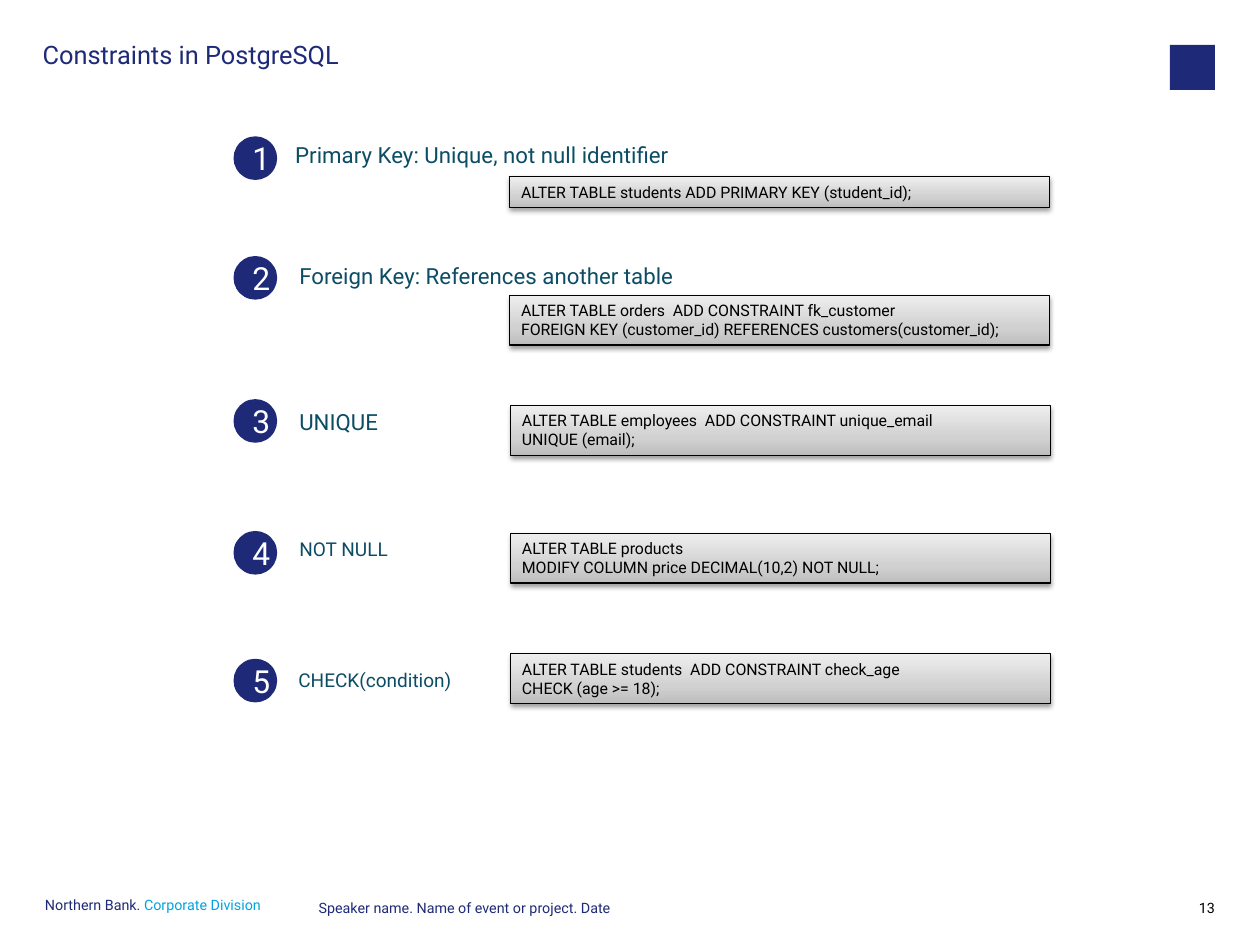
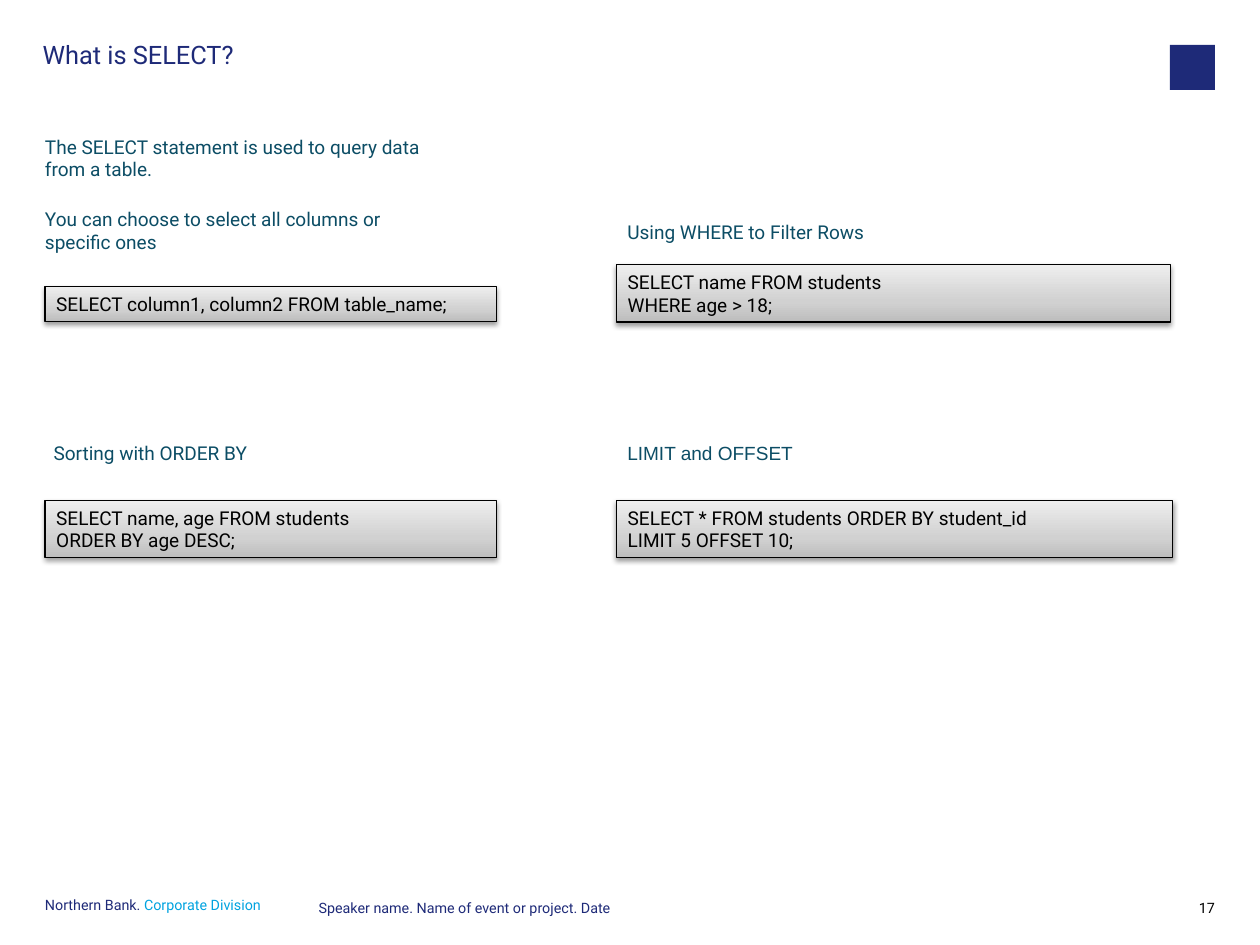
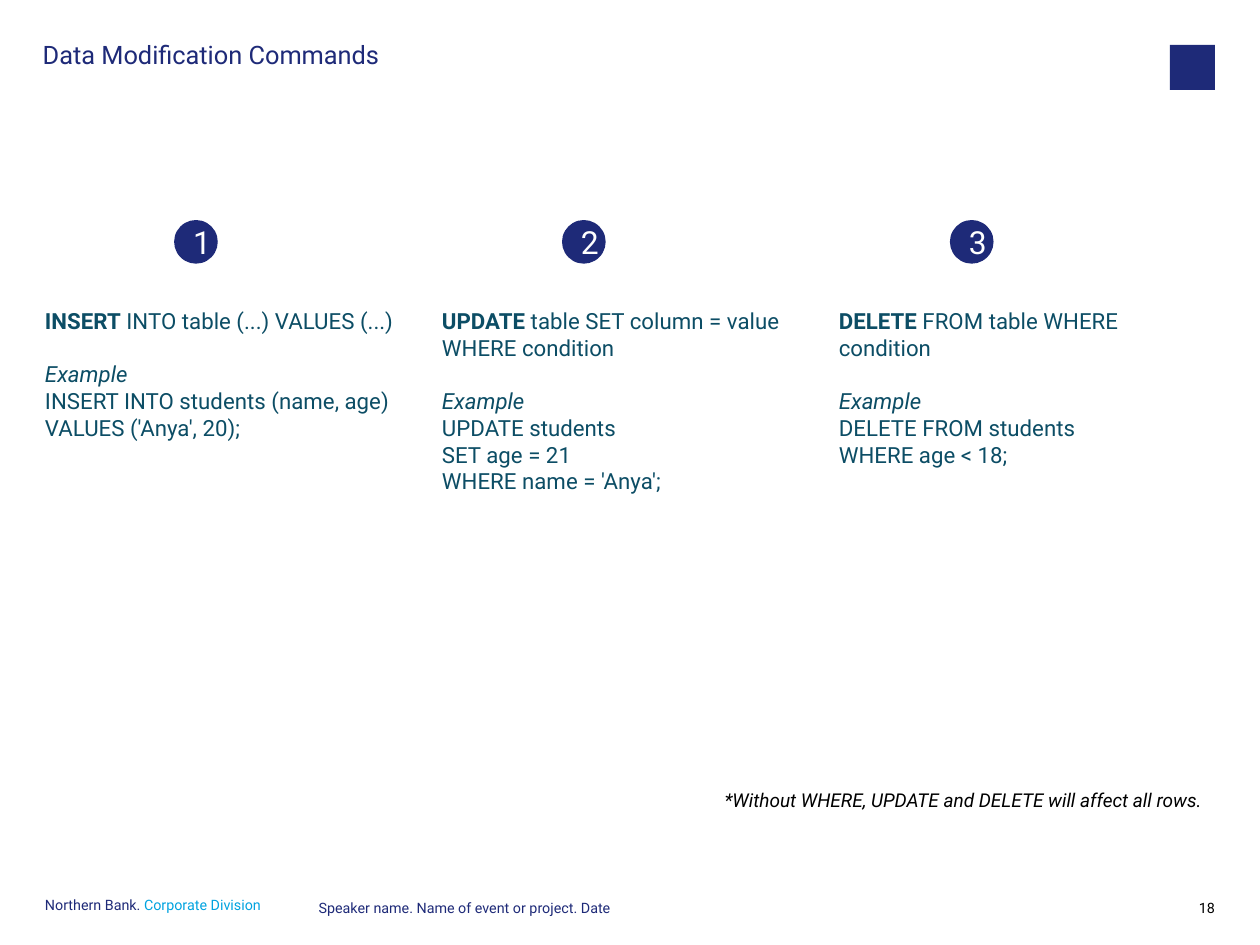
from lxml import etree
from pptx import Presentation
from pptx.dml.color import RGBColor
from pptx.enum.shapes import MSO_SHAPE
from pptx.enum.text import MSO_ANCHOR, MSO_AUTO_SIZE, PP_ALIGN
from pptx.oxml import parse_xml
from pptx.oxml.ns import qn
from pptx.util import Cm, Inches, Pt

RECTANGLE, OVAL = MSO_SHAPE.RECTANGLE, MSO_SHAPE.OVAL
TOP, MIDDLE = MSO_ANCHOR.TOP, MSO_ANCHOR.MIDDLE
LEFT, CENTER, RIGHT = PP_ALIGN.LEFT, PP_ALIGN.CENTER, PP_ALIGN.RIGHT
NO_FIT = MSO_AUTO_SIZE.NONE

COLUMNS, ROWS = 28, 21
COMPARISON_LAYOUT = 4
FONT = "Roboto"
NAVY, TEAL, SKY, BLACK, WHITE = "1E2A78", "0C4D65", "00A3E0", "000000", "FFFFFF"
PANEL_STOPS = ((0, "BDBDBD"), (35, "D1D1D1"), (100, "EEEEEE"))
BLANK_LINE = 16.8
BADGE = 0.97
CODE_INSETS = (0.1, 0.05)
BADGE_INSETS = (0.11, 0.06)
DRAWING_NS = 'xmlns:a="http://schemas.openxmlformats.org/drawingml/2006/main"'

CONSTRAINTS = (
    (3.03, 6.56, 3.15, 14, "Primary Key: Unique, not null identifier", 11.33, 3.93,
     ["ALTER TABLE students ADD PRIMARY KEY (student_id);"]),
    (5.69, 6.65, 5.82, 14, "Foreign Key: References another table", 11.33, 6.56,
     ["ALTER TABLE orders  ADD CONSTRAINT fk_customer",
      "FOREIGN KEY (customer_id) REFERENCES customers(customer_id);"]),
    (8.87, 6.65, 9.07, 14, "UNIQUE", 11.35, 9.01,
     ["ALTER TABLE employees  ADD CONSTRAINT unique_email", "UNIQUE (email);"]),
    (11.8, 6.65, 11.94, 12, "NOT NULL", 11.35, 11.85,
     ["ALTER TABLE products", "MODIFY COLUMN price DECIMAL(10,2) NOT NULL;"]),
    (14.64, 6.63, 14.86, 12, "CHECK(condition)", 11.35, 14.53,
     ["ALTER TABLE students  ADD CONSTRAINT check_age", "CHECK (age >= 18);"]),
)
QUERIES = (
    (13.94, 4.9, "Using WHERE to Filter Rows", FONT, 13.7, 5.88, 12.31,
     ["SELECT name FROM students", "WHERE age > 18;"]),
    (1.19, 9.81, "Sorting with ORDER BY", FONT, 1, 11.12, 10.03,
     ["SELECT name, age FROM students", "ORDER BY age DESC;"]),
    (13.94, 9.81, "LIMIT and OFFSET", "Arial", 13.7, 11.12, 12.36,
     ["SELECT * FROM students ORDER BY student_id", "LIMIT 5 OFFSET 10;"]),
)
COMMANDS = (
    ("INSERT", " INTO table (...) VALUES (...)",
     ["INSERT INTO students (name, age)", "VALUES ('Anya', 20);"]),
    ("UPDATE", " table SET column = value WHERE condition",
     ["UPDATE students", "SET age = 21", "WHERE name = 'Anya';"]),
    ("DELETE", " FROM table WHERE condition",
     ["DELETE FROM students", "WHERE age < 18;"]),
)


def color(value):
    """Turn a hex string into a colour."""
    return RGBColor.from_string(value)


def grid(box):
    """Turn left, top, width and height in one-centimetre cells into lengths."""
    return [Cm(cells) for cells in box]


def write(holder, lines, size, ink, align=LEFT, anchor=TOP, insets=(0, 0),
          spacing=1.0, font=FONT):
    """Fill a holder with lines, each a string or a list of runs."""
    frame = holder.text_frame
    frame.word_wrap = True
    frame.auto_size = NO_FIT
    frame.vertical_anchor = anchor
    frame.margin_left = frame.margin_right = Inches(insets[0])
    frame.margin_top = frame.margin_bottom = Inches(insets[1])
    for index, line in enumerate(lines):
        paragraph = frame.add_paragraph() if index else frame.paragraphs[0]
        if isinstance(line, str):
            paragraph.text = line
        else:
            for part in line:
                paragraph.add_run().text = part
        properties = paragraph._p.get_or_add_pPr()
        properties.set("marL", "0")
        properties.set("indent", "0")
        etree.SubElement(properties, qn("a:buNone"))
        paragraph.alignment = align
        paragraph.line_spacing = spacing
        paragraph.space_before = paragraph.space_after = Pt(0)
        for run in paragraph.runs:
            run.font.name = font
            run.font.size = Pt(size)
            run.font.bold = False
            run.font.color.rgb = color(ink)
    return frame.paragraphs


def text_at(slide, box, lines, size, ink, **style):
    """Write lines in a new text box."""
    return write(slide.shapes.add_textbox(*grid(box)), lines, size, ink, **style)


def body_at(slide, slots, box, lines, size, **style):
    """Write body lines in the next free placeholder, or else a text box."""
    if not slots:
        return text_at(slide, box, lines, size, TEAL, **style)
    slot = slots.pop(0)
    slot.left, slot.top, slot.width, slot.height = grid(box)
    return write(slot, lines, size, TEAL, **style)


def solid(slide, kind, box):
    """Draw a flat navy shape."""
    shape = slide.shapes.add_shape(kind, *grid(box))
    shape.shadow.inherit = False
    shape.fill.solid()
    shape.fill.fore_color.rgb = color(NAVY)
    shape.line.fill.background()
    return shape


def badge(slide, left, top, number):
    """Draw a numbered circle."""
    circle = solid(slide, OVAL, (left, top, BADGE, BADGE))
    write(circle, [str(number)], 20, WHITE, CENTER, MIDDLE, BADGE_INSETS)


def code_panel(slide, left, top, width, lines, size):
    """Draw a shaded panel as tall as its lines of code."""
    height = 0.26 + 0.0424 * size * len(lines)
    panel = slide.shapes.add_shape(RECTANGLE, *grid((left, top, width, height)))
    panel.line.color.rgb = color(BLACK)
    panel.line.width = Pt(0.75)
    panel.shadow.inherit = False
    stops = "".join(f'<a:gs pos="{at * 1000}"><a:srgbClr val="{shade}"/></a:gs>'
                    for at, shade in PANEL_STOPS)
    properties = panel._element.spPr
    properties.find(qn("a:ln")).addprevious(parse_xml(
        f'<a:gradFill {DRAWING_NS} rotWithShape="1"><a:gsLst>{stops}</a:gsLst>'
        '<a:lin ang="16200000" scaled="0"/></a:gradFill>'))
    properties.find(qn("a:effectLst")).append(parse_xml(
        f'<a:outerShdw {DRAWING_NS} blurRad="40000" dist="20000" dir="5400000" '
        f'rotWithShape="0"><a:srgbClr val="{BLACK}"><a:alpha val="38000"/>'
        '</a:srgbClr></a:outerShdw>'))
    write(panel, lines, size, BLACK, insets=CODE_INSETS)


def start_slide(deck, title, number):
    """Add a slide with title, mark and footer; return it with its body slots."""
    slide = deck.slides.add_slide(deck.slide_layouts[COMPARISON_LAYOUT])
    heading, *slots = slide.placeholders
    heading.left, heading.top, heading.width, heading.height = grid((0.95, 0.94, 24.05, 1.55))
    write(heading, [title], 16, NAVY, spacing=0.9)
    solid(slide, RECTANGLE, (26, 1, 1, 1))
    footer = text_at(slide, (1, 19.98, 5.57, 0.5), [["Northern Bank. ", "Corporate Division"]],
                     9, NAVY, spacing=Pt(9))
    footer[0].runs[1].font.color.rgb = color(SKY)
    text_at(slide, (7.08, 20.04, 13.72, 0.5), ["Speaker name. Name of event or project. Date"],
            9, NAVY, spacing=Pt(9))
    text_at(slide, (26, 20.04, 1, 0.5), [str(number)], 9, BLACK, align=RIGHT, spacing=Pt(9))
    return slide, slots


def constraints_slide(deck):
    """List the constraints, each with its number and statement."""
    slide, slots = start_slide(deck, "Constraints in PostgreSQL", 13)
    for number, row in enumerate(CONSTRAINTS, 1):
        badge_top, label_left, label_top, size, label, code_left, code_top, code = row
        badge(slide, 5.19, badge_top, number)
        body_at(slide, slots, (label_left, label_top, 9.35, 0.71), [label], size)
        code_panel(slide, code_left, code_top, 11.99, code, 10)


def select_slide(deck):
    """Explain SELECT with four sample queries."""
    slide, slots = start_slide(deck, "What is SELECT?", 17)
    intro = body_at(slide, slots, (1, 3, 8.61, 3),
                    ["The SELECT statement is used to query data from a table.",
                     "You can choose to select all columns or specific ones"], 12)
    intro[1].space_before = Pt(BLANK_LINE)
    code_panel(slide, 1, 6.37, 10.03, ["SELECT column1, column2 FROM table_name;"], 12)
    for left, top, label, font, code_left, code_top, width, code in QUERIES:
        body_at(slide, slots, (left, top, 10, 0.6), [label], 12, font=font)
        code_panel(slide, code_left, code_top, width, code, 12)


def commands_slide(deck):
    """Set the three modification commands side by side."""
    slide, slots = start_slide(deck, "Data Modification Commands", 18)
    gap = 0.46
    width = (COLUMNS - 2 - 2 * gap) / 3
    for index, (keyword, syntax, example) in enumerate(COMMANDS):
        badge(slide, 3.87 + index * 8.62, 4.89, index + 1)
        lines = body_at(slide, slots, (1 + index * (width + gap), 6.83, width, 12.17),
                        [[keyword, syntax], "Example", *example], 14)
        lines[0].runs[0].font.bold = True
        lines[1].runs[0].font.italic = True
        lines[1].space_before = Pt(BLANK_LINE)
    note = text_at(slide, (13, 17.52, 13.72, 0.5),
                   ["*Without WHERE, UPDATE and DELETE will affect all rows."],
                   12, BLACK, align=RIGHT)
    note[0].runs[0].font.italic = True
    for slot in slots:
        slot._element.getparent().remove(slot._element)


def main():
    """Build and save the deck."""
    deck = Presentation()
    deck.slide_width = Cm(COLUMNS)
    deck.slide_height = Cm(ROWS)
    constraints_slide(deck)
    select_slide(deck)
    commands_slide(deck)
    deck.save("out.pptx")


if __name__ == "__main__":
    main()
